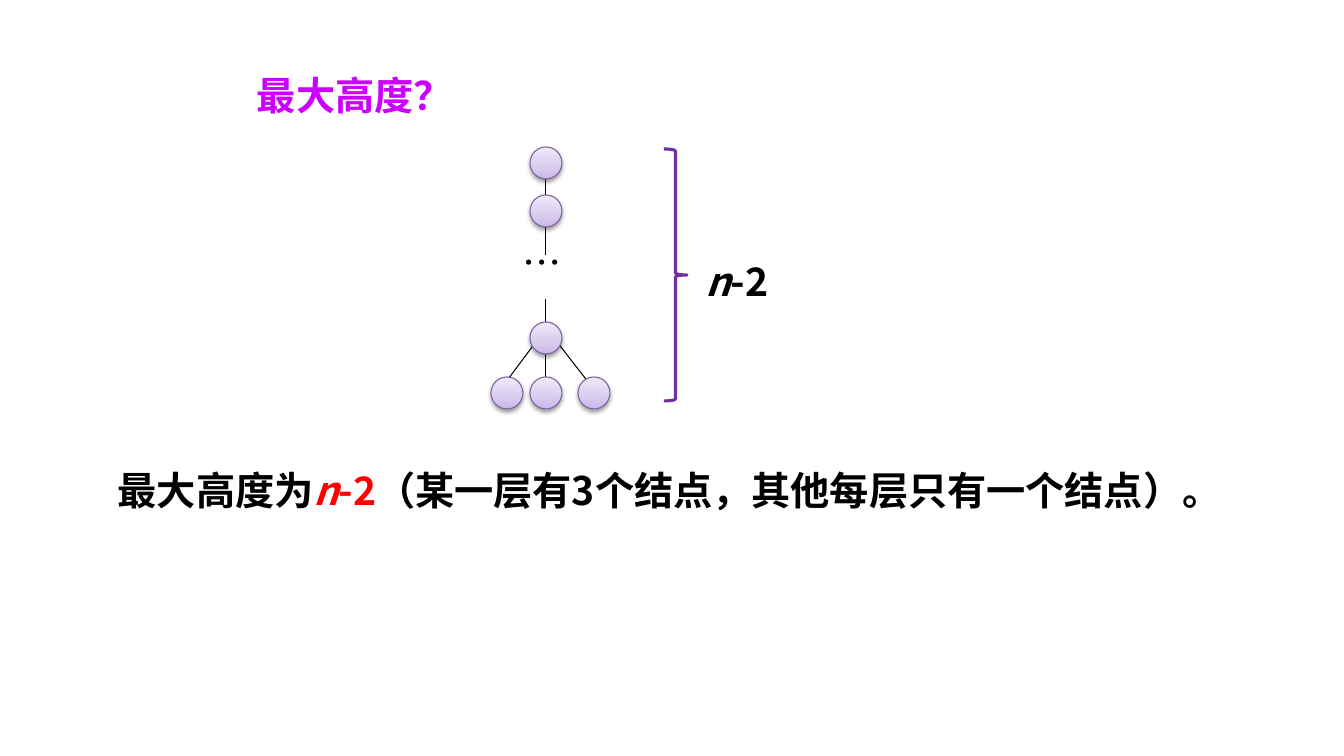
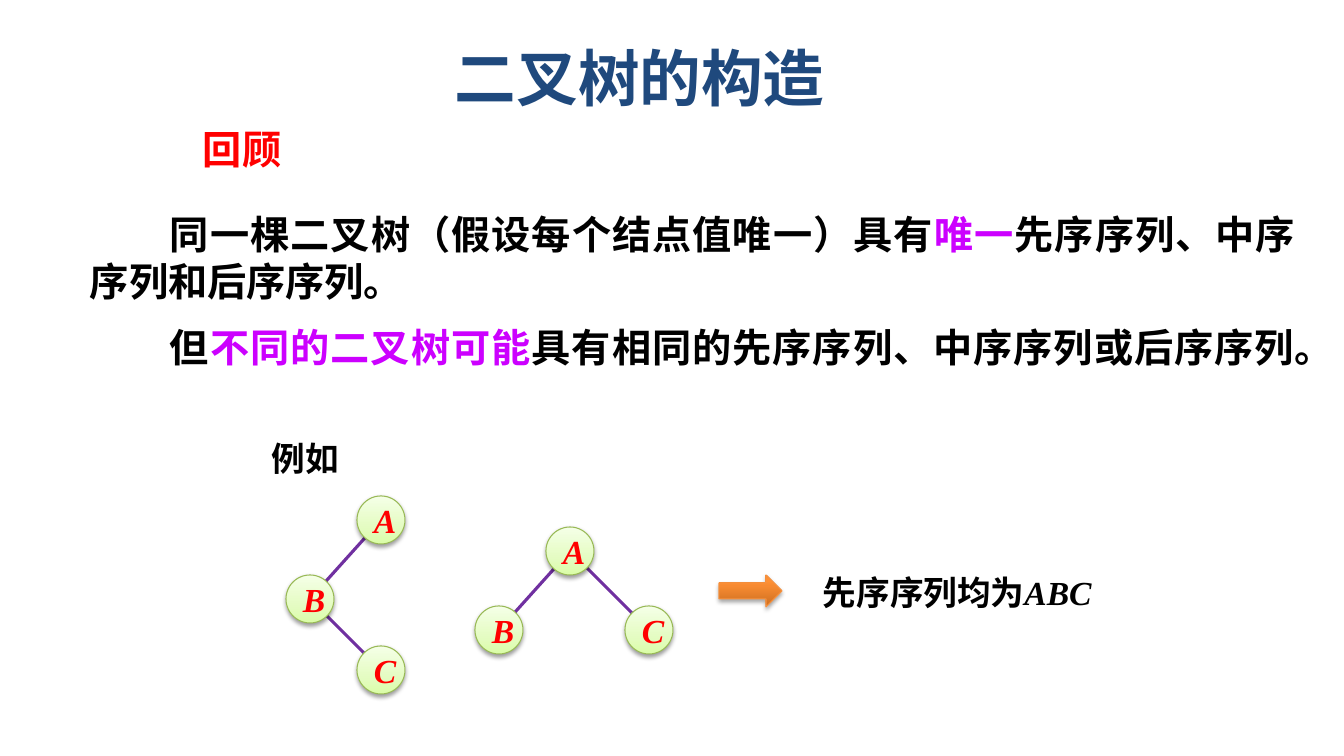
from lxml import etree
from pptx import Presentation
from pptx.dml.color import RGBColor
from pptx.enum.shapes import MSO_CONNECTOR, MSO_SHAPE
from pptx.enum.text import MSO_ANCHOR, PP_ALIGN
from pptx.oxml import parse_xml
from pptx.oxml.ns import nsdecls, qn
from pptx.util import Pt

STRAIGHT = MSO_CONNECTOR.STRAIGHT
OVAL, ARROW, BRACE = MSO_SHAPE.OVAL, MSO_SHAPE.RIGHT_ARROW, MSO_SHAPE.RIGHT_BRACE
MIDDLE = MSO_ANCHOR.MIDDLE
LEFT, CENTER, JUSTIFY = PP_ALIGN.LEFT, PP_ALIGN.CENTER, PP_ALIGN.JUSTIFY

# Shared look
EMU_PER_PX = 914400 / 100.8
SANS, SERIF = "Noto Sans CJK SC", "Times New Roman"
BLACK, RED, MAGENTA = "000000", "FF0000", "CC00FF"
NAVY, PURPLE = "1F497D", "7030A0"
# Each style: gradient stops from bottom to top, outline, shadow opacity in %
LILAC = ([(0, "C9B5E8"), (35, "D8CBEE"), (100, "F0EAF9")], "7D60A0", 38)
LIME = ([(0, "DAFDA7"), (35, "E4FCC2"), (100, "F5FFE7")], "98B955", 38)
ORANGE = ([(0, "CC6E20"), (80, "FF9034"), (100, "FF9136")], "F69240", 35)


def px(n):
    return round(n * EMU_PER_PX)


def rgb(color):
    return RGBColor.from_string(color)


def write(p, runs, size, font=SANS, bold=True, align=LEFT):
    """Fill a paragraph with (text, colour[, italic]) runs."""
    p.alignment = align
    p.font.size, p.font.bold, p.font.name = Pt(size), bold, font
    for text, color, *italic in runs:
        r = p.add_run()
        r.text = text
        r.font.color.rgb = rgb(color)
        r.font.italic = bool(italic)
    # East Asian glyphs use the sans face throughout
    ea = etree.SubElement(p.font._element, qn("a:ea"))
    ea.set("typeface", SANS)


def add_text(slide, x, y, w, h, runs, size=28, spacing=None, inset=None,
             wrap=True, **style):
    tf = slide.shapes.add_textbox(px(x), px(y), px(w), px(h)).text_frame
    tf.word_wrap = wrap
    if inset is not None:
        tf.margin_left = tf.margin_right = px(inset)
        tf.margin_top = tf.margin_bottom = px(inset)
    p = tf.paragraphs[0]
    p.line_spacing = spacing
    write(p, runs, size, **style)
    return tf


def indent_first_line(p, width):
    pPr = p._p.get_or_add_pPr()
    pPr.set("marL", "0")
    pPr.set("indent", str(px(width)))
    pPr.set("hangingPunct", "1")


def add_glossy(slide, kind, x, y, w, h, look):
    """Shape with an upward gradient, thin outline and soft shadow."""
    stops, outline, opacity = look
    s = slide.shapes.add_shape(kind, px(x), px(y), px(w), px(h))
    s.line.color.rgb = rgb(outline)
    s.line.width = Pt(0.75)
    gs = "".join(f'<a:gs pos="{pos * 1000}"><a:srgbClr val="{color}"/></a:gs>'
                 for pos, color in stops)
    ln = s.line._get_or_add_ln()
    ln.addprevious(parse_xml(
        f'<a:gradFill {nsdecls("a")} rotWithShape="1"><a:gsLst>{gs}</a:gsLst>'
        '<a:lin ang="16200000" scaled="0"/></a:gradFill>'))
    ln.addnext(parse_xml(
        f'<a:effectLst {nsdecls("a")}><a:outerShdw blurRad="40000" dist="20000" '
        'dir="5400000" rotWithShape="0"><a:srgbClr val="000000">'
        f'<a:alpha val="{opacity * 1000}"/></a:srgbClr></a:outerShdw></a:effectLst>'))
    return s


def add_node(slide, center, size, look, label=None):
    x, y = center
    s = add_glossy(slide, OVAL, x - size // 2, y - size // 2, size, size, look)
    if label:
        tf = s.text_frame
        tf.vertical_anchor = MIDDLE
        write(tf.paragraphs[0], [(label, RED, True)], 24, SERIF, align=CENTER)


def add_edge(slide, start, end, color=BLACK, width=0.75):
    c = slide.shapes.add_connector(STRAIGHT, *map(px, start + end))
    c.line.color.rgb = rgb(color)
    c.line.width = Pt(width)
    etree.SubElement(c._element.spPr, qn("a:effectLst"))


def add_labelled_tree(slide, centers, links):
    for a, b in links:
        add_edge(slide, centers[a], centers[b], PURPLE, 2.25)
    for label, center in centers.items():
        add_node(slide, center, 48, LIME, label)


def max_height_slide(slide):
    add_text(slide, 247, 62, 271, 62, [("最大高度？", MAGENTA)],
             spacing=1.1, align=JUSTIFY)

    # Chain that ends in three leaves
    axis = 546
    for top, bottom in [(171, 204), (223, 255), (299, 331), (346, 386)]:
        add_edge(slide, (axis, top), (axis, bottom))
    add_edge(slide, (541, 335), (506, 382))
    add_edge(slide, (554, 338), (592, 387))
    add_text(slide, 522, 238, 64, 47, [("…", BLACK)], inset=0, bold=False)
    for y in (163, 211, 338):
        add_node(slide, (axis, y), 32, LILAC)
    for x in (507, axis, 594):
        add_node(slide, (x, 393), 32, LILAC)

    # Height marker
    s = slide.shapes.add_shape(BRACE, px(664), px(149), px(23), px(252))
    s.shadow.inherit = False
    s.fill.background()
    s.line.color.rgb = rgb(PURPLE)
    s.line.width = Pt(2.25)
    add_text(slide, 696, 252, 150, 57, [("n", BLACK, True), ("-2", BLACK)])

    # Conclusion
    add_text(slide, 108, 457, 1135, 62,
             [("最大高度为", BLACK), ("n", RED, True), ("-2", RED),
              ("（某一层有3个结点，其他每层只有一个结点）。", BLACK)],
             spacing=1.1, align=JUSTIFY)


def construction_slide(slide):
    add_text(slide, 445, 35, 391, 85, [("二叉树的构造", NAVY)], 44,
             wrap=False, font=SERIF)
    add_text(slide, 193, 120, 111, 57, [("回顾", RED)], font=SERIF)

    # Review paragraphs
    tf = add_text(slide, 80, 205, 1225, 176,
                  [("同一棵二叉树（假设每个结点值唯一）具有", BLACK), ("唯一", MAGENTA),
                   ("先序序列、中序序列和后序序列。", BLACK)], align=JUSTIFY)
    p = tf.add_paragraph()
    p.space_before = Pt(14)
    write(p, [("但", BLACK), ("不同的二叉树可能", MAGENTA),
              ("具有相同的先序序列、中序序列或后序序列。", BLACK)], 28, align=JUSTIFY)
    for r in p.runs:
        r.font._element.set("spc", "60")
    for p in tf.paragraphs:
        indent_first_line(p, 80)

    # Two trees with the same preorder sequence
    add_text(slide, 262, 433, 165, 50, [("例如", BLACK)], 24)
    add_labelled_tree(slide, {"A": (381, 520), "B": (310, 599), "C": (381, 670)},
                      ["AB", "BC"])
    add_labelled_tree(slide, {"A": (570, 551), "B": (499, 630), "C": (649, 630)},
                      ["AB", "AC"])
    add_glossy(slide, ARROW, 719, 575, 63, 32, ORANGE)
    add_text(slide, 813, 567, 347, 50,
             [("先序序列均为", BLACK), ("ABC", BLACK, True)], 24, font=SERIF)


def main():
    prs = Presentation()
    prs.slide_width, prs.slide_height = px(1344), px(756)
    for build in (max_height_slide, construction_slide):
        build(prs.slides.add_slide(prs.slide_layouts[6]))
    prs.save("out.pptx")


if __name__ == "__main__":
    main()
